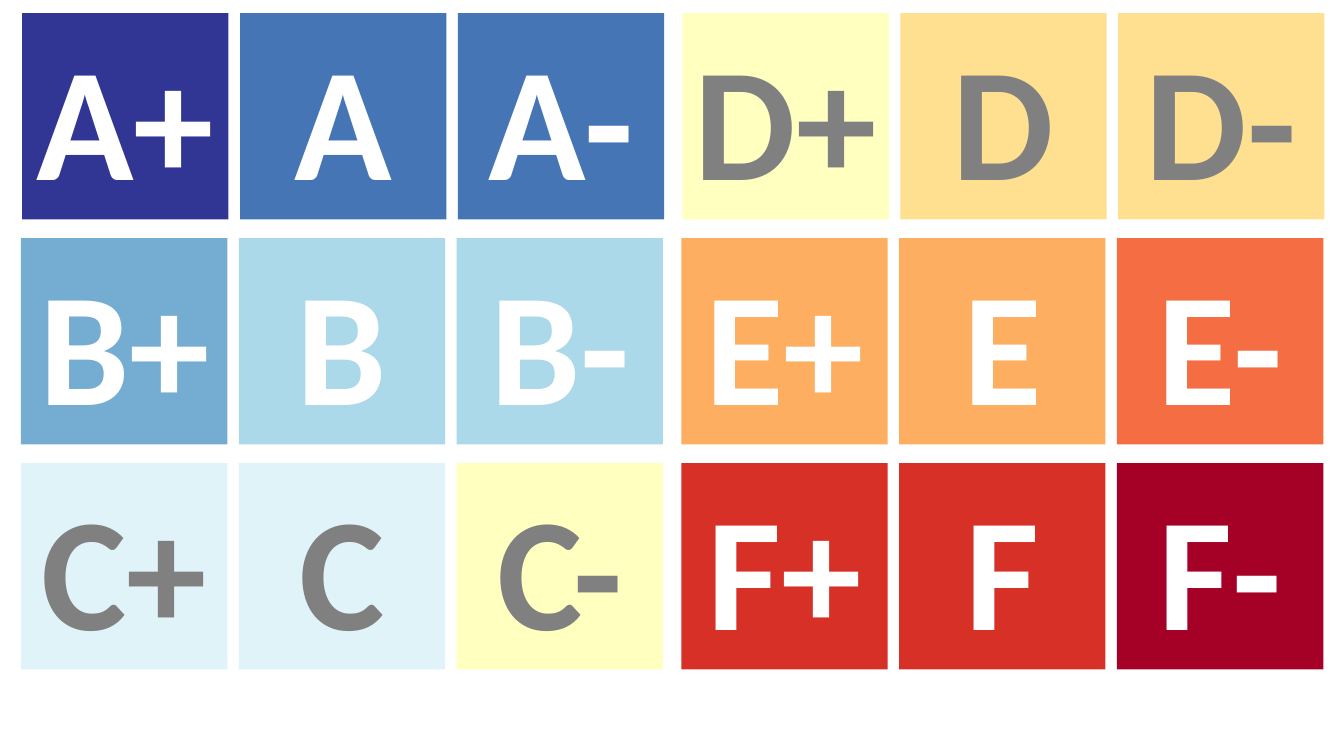
from pptx import Presentation
from pptx.dml.color import RGBColor
from pptx.enum.shapes import MSO_SHAPE
from pptx.enum.text import MSO_ANCHOR, PP_ALIGN
from pptx.util import Cm, Pt

COLORS = {
    "navy": "313695", "blue": "4575B4", "sky": "74ADD1", "aqua": "ABD9E9",
    "ice": "E0F3F8", "cream": "FFFFBF", "sand": "FEE090", "orange": "FDAE61",
    "coral": "F46D43", "red": "D73027", "wine": "A50026",
    "white": "FFFFFF", "gray": "808080",
}

# Each letter: text color, then tile colors for plus, plain and minus
GRADES = {
    "A": ("white", "navy", "blue", "blue"),
    "B": ("white", "sky", "aqua", "aqua"),
    "C": ("gray", "ice", "ice", "cream"),
    "D": ("gray", "cream", "sand", "sand"),
    "E": ("white", "orange", "orange", "coral"),
    "F": ("white", "red", "red", "wine"),
}
SIGNS = ("+", "", "-")

# Grid in centimetres
SIDE = 5.2
LEFT, TOP = 0.53, 0.33
STEP_X, STEP_Y = 5.49, 5.67
BLOCK = 16.64
SHIFT = 0.03  # the top row sits slightly to the right
ROWS = 3


class Board:
    """Holds the style and the current slide."""

    def __init__(self, slide, font, size):
        self.slide = slide
        self.font = font
        self.size = size

    def color(self, name):
        return RGBColor.from_string(COLORS[name])

    def tile(self, text, left, top, fill, ink):
        shape = self.slide.shapes.add_shape(
            MSO_SHAPE.RECTANGLE, Cm(left), Cm(top), Cm(SIDE), Cm(SIDE))
        shape.shadow.inherit = False
        shape.fill.solid()
        shape.fill.fore_color.rgb = self.color(fill)
        shape.line.fill.background()
        frame = shape.text_frame
        frame.text = text
        frame.word_wrap = True
        frame.vertical_anchor = MSO_ANCHOR.MIDDLE
        para = frame.paragraphs[0]
        para.alignment = PP_ALIGN.CENTER
        font = para.runs[0].font
        font.name = self.font
        font.size = Pt(self.size)
        font.bold = True
        font.color.rgb = self.color(ink)


# Slide
deck = Presentation()
deck.slide_width, deck.slide_height = Cm(33.87), Cm(19.05)
board = Board(deck.slides.add_slide(deck.slide_layouts[6]), "Calibri", 115)

# Grade tiles: two blocks of three rows
for index, (letter, (ink, *fills)) in enumerate(GRADES.items()):
    block, row = divmod(index, ROWS)
    start = LEFT + block * BLOCK + (SHIFT if row == 0 else 0)
    for col, (sign, fill) in enumerate(zip(SIGNS, fills)):
        board.tile(letter + sign, start + col * STEP_X,
                   TOP + row * STEP_Y, fill, ink)

deck.save("out.pptx")
